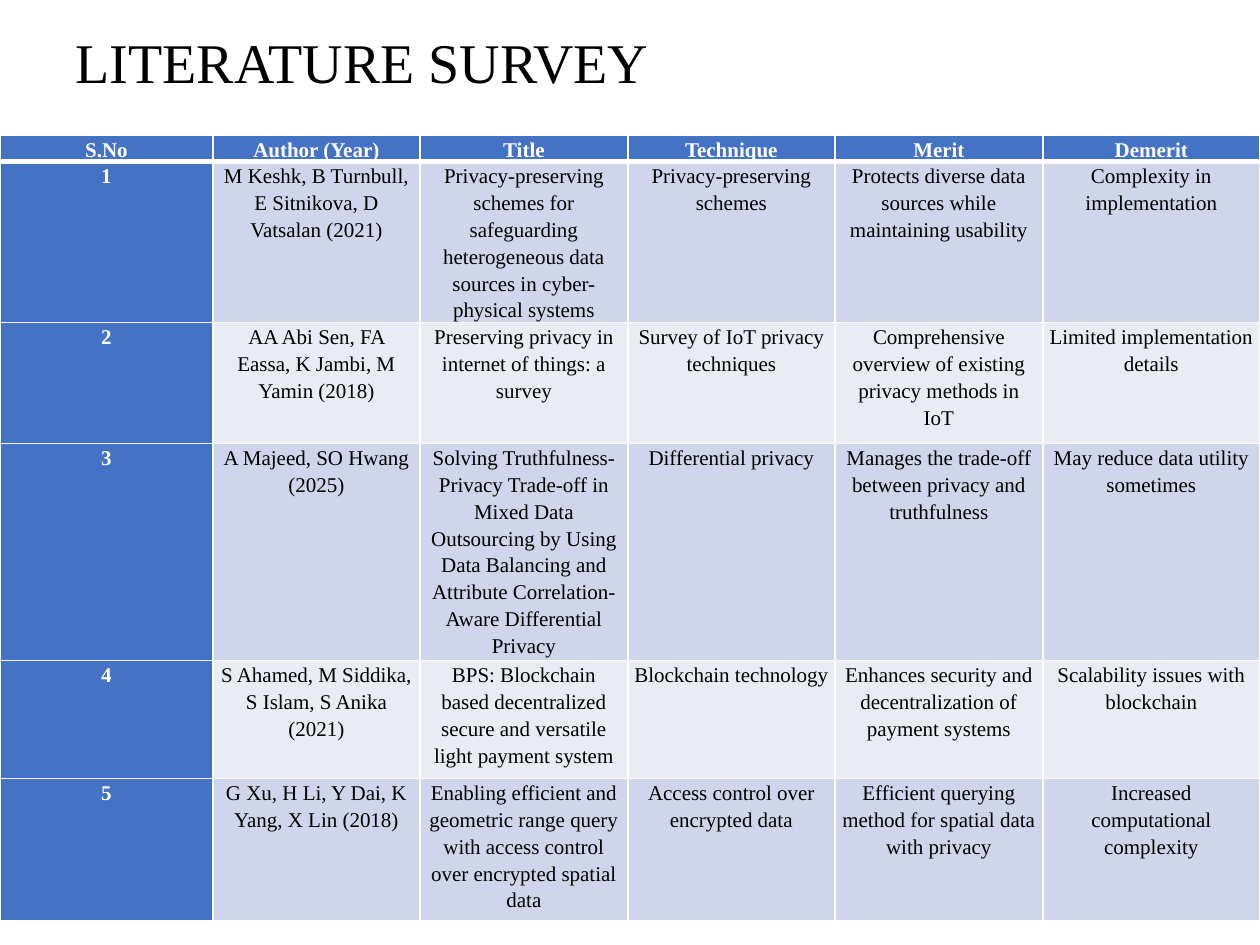
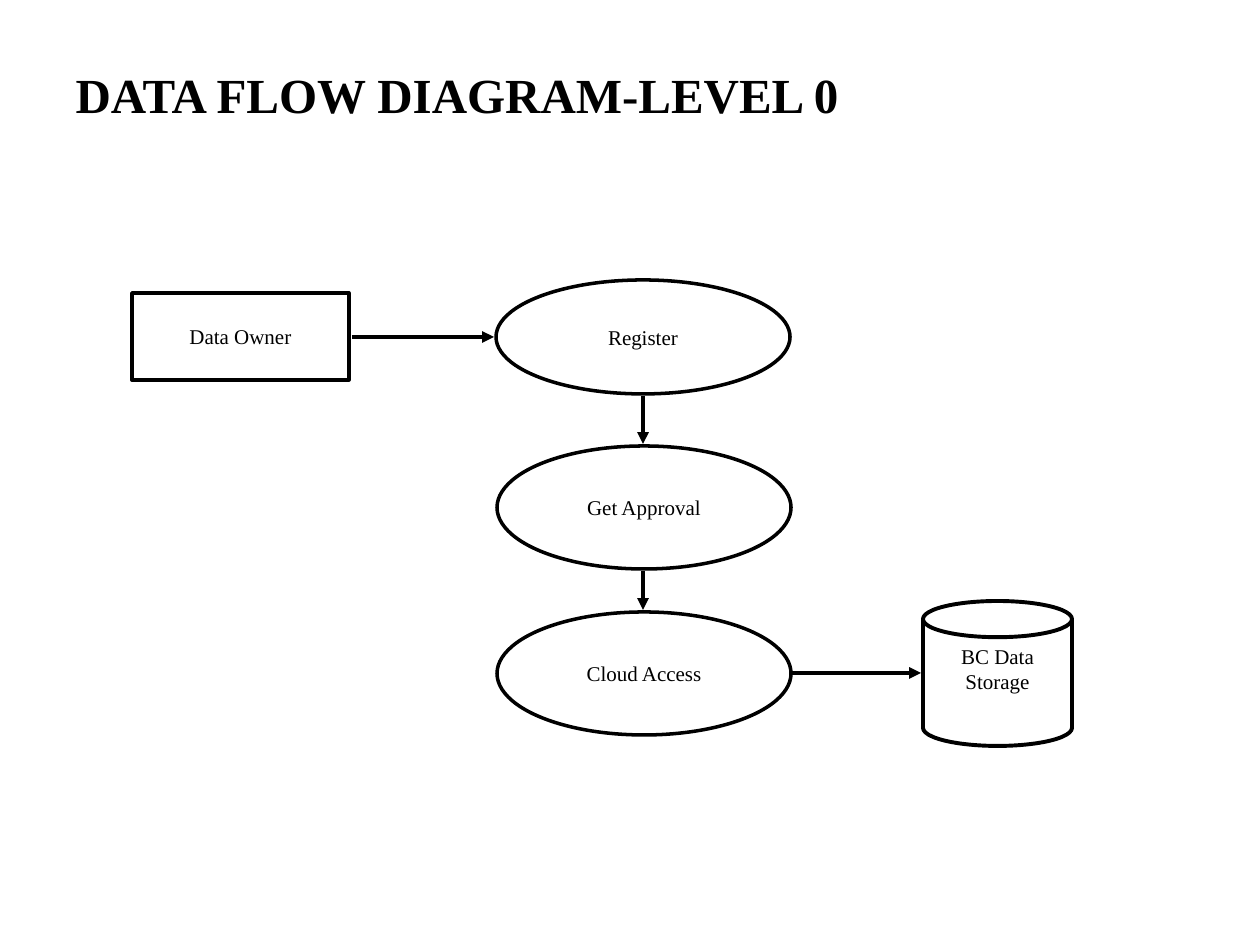
import lxml.etree
import pptx
import pptx.dml.color
import pptx.enum.shapes
import pptx.enum.text
import pptx.oxml.ns
import pptx.util

PX = 914400 / 126
FONT = "Times New Roman"
BLACK = pptx.dml.color.RGBColor(0x00, 0x00, 0x00)
WHITE = pptx.dml.color.RGBColor(0xFF, 0xFF, 0xFF)
HEADER_BLUE = pptx.dml.color.RGBColor(0x44, 0x72, 0xC4)
BANDS = [
    pptx.dml.color.RGBColor(0xCF, 0xD5, 0xEA),
    pptx.dml.color.RGBColor(0xE9, 0xEB, 0xF5),
]
CENTER = pptx.enum.text.PP_ALIGN.CENTER
MIDDLE = pptx.enum.text.MSO_ANCHOR.MIDDLE
TOP = pptx.enum.text.MSO_ANCHOR.TOP
KINDS = pptx.enum.shapes.MSO_SHAPE


def emu(*lengths):
    return [pptx.util.Emu(round(length * PX)) for length in lengths]


def write(frame, text, size, color, bold, align):
    frame.text = text
    paragraph = frame.paragraphs[0]
    paragraph.alignment = align
    font = paragraph.runs[0].font
    font.name = FONT
    font.size = pptx.util.Pt(size)
    font.color.rgb = color
    font.bold = bold
    return paragraph


deck = pptx.Presentation()
deck.slide_width, deck.slide_height = emu(1260, 945)

slides = []
for heading, top, size, bold in [
    ("LITERATURE SURVEY", 5, 32, False),
    ("DATA FLOW DIAGRAM-LEVEL 0", 38, 28, True),
]:
    slide = deck.slides.add_slide(deck.slide_layouts[5])
    title = slide.shapes.title
    title.left, title.top, title.width, title.height = emu(63, top, 1134, 120)
    title.text_frame.vertical_anchor = MIDDLE
    title.text_frame.auto_size = pptx.enum.text.MSO_AUTO_SIZE.NONE
    paragraph = write(title.text_frame, heading, size, BLACK, bold, pptx.enum.text.PP_ALIGN.LEFT)
    paragraph.line_spacing = 0.9
    slides.append(slide)
survey_slide, flow_slide = slides

survey = [
    ["S.No", "Author (Year)", "Title", "Technique", "Merit", "Demerit"],
    [
        "1",
        "M Keshk, B Turnbull, E Sitnikova, D Vatsalan (2021)",
        "Privacy-preserving schemes for safeguarding heterogeneous data sources in cyber-physical systems",
        "Privacy-preserving schemes",
        "Protects diverse data sources while maintaining usability",
        "Complexity in implementation",
    ],
    [
        "2",
        "AA Abi Sen, FA Eassa, K Jambi, M Yamin (2018)",
        "Preserving privacy in internet of things: a survey",
        "Survey of IoT privacy techniques",
        "Comprehensive overview of existing privacy methods in IoT",
        "Limited implementation details",
    ],
    [
        "3",
        "A Majeed, SO Hwang (2025)",
        "Solving Truthfulness-Privacy Trade-off in Mixed Data Outsourcing by Using Data Balancing "
        "and Attribute Correlation-Aware Differential Privacy",
        "Differential privacy",
        "Manages the trade-off between privacy and truthfulness",
        "May reduce data utility sometimes",
    ],
    [
        "4",
        "S Ahamed, M Siddika, S Islam, S Anika (2021)",
        "BPS: Blockchain based decentralized secure and versatile light payment system",
        "Blockchain technology",
        "Enhances security and decentralization of payment systems",
        "Scalability issues with blockchain",
    ],
    [
        "5",
        "G Xu, H Li, Y Dai, K Yang, X Lin (2018)",
        "Enabling efficient and geometric range query with access control over encrypted spatial data",
        "Access control over encrypted data",
        "Efficient querying method for spatial data with privacy",
        "Increased computational complexity",
    ],
]
column_widths = emu(213, 207, 208, 207, 208, 217)
row_heights = emu(24, 142, 121, 217, 118, 142)
papers = survey_slide.shapes.add_table(
    len(survey), len(survey[0]), *emu(0, 135), sum(column_widths), sum(row_heights)
).table
for column, width in zip(papers.columns, column_widths):
    column.width = width
for row, height in zip(papers.rows, row_heights):
    row.height = height

for r, entries in enumerate(survey):
    for c, entry in enumerate(entries):
        cell = papers.cell(r, c)
        is_heading = r == 0 or c == 0
        cell.margin_left = cell.margin_right = pptx.util.Inches(0.05)
        cell.margin_top = cell.margin_bottom = 0
        cell.vertical_anchor = TOP
        paragraph = write(
            cell.text_frame, entry, 12, WHITE if is_heading else BLACK, is_heading, CENTER
        )
        paragraph.line_spacing = 1.15
        paragraph.space_after = pptx.util.Pt(15)
        properties = cell._tc.get_or_add_tcPr()
        for side in ["lnL", "lnR", "lnT", "lnB"]:
            under_header = (r, side) in [(0, "lnB"), (1, "lnT")]
            border = lxml.etree.SubElement(properties, pptx.oxml.ns.qn("a:" + side))
            border.set("w", str(pptx.util.Pt(3 if under_header else 1)))
            stroke = lxml.etree.SubElement(border, pptx.oxml.ns.qn("a:solidFill"))
            lxml.etree.SubElement(stroke, pptx.oxml.ns.qn("a:srgbClr")).set("val", str(WHITE))
        cell.fill.solid()
        cell.fill.fore_color.rgb = HEADER_BLUE if is_heading else BANDS[(r - 1) % 2]

for label, kind, box, weight, anchor in [
    ("Data Owner", KINDS.RECTANGLE, (132, 293, 217, 87), 2, MIDDLE),
    ("Register", KINDS.OVAL, (496, 280, 294, 114), 2, MIDDLE),
    ("Get Approval", KINDS.OVAL, (497, 446, 294, 123), 2, MIDDLE),
    ("Cloud Access", KINDS.OVAL, (497, 612, 294, 123), 2, MIDDLE),
    ("BC Data Storage", KINDS.CAN, (923, 601, 149, 145), 2.25, TOP),
]:
    node = flow_slide.shapes.add_shape(kind, *emu(*box))
    node.shadow.inherit = False
    node.fill.solid()
    node.fill.fore_color.rgb = WHITE
    node.line.color.rgb = BLACK
    node.line.width = pptx.util.Pt(weight)
    node.text_frame.word_wrap = True
    node.text_frame.vertical_anchor = anchor
    write(node.text_frame, label, 12, BLACK, False, CENTER)

for ends in [
    (352, 337, 494, 337),
    (643, 396, 643, 444),
    (643, 571, 643, 610),
    (792, 673, 921, 673),
]:
    flow = flow_slide.shapes.add_connector(
        pptx.enum.shapes.MSO_CONNECTOR.STRAIGHT, *emu(*ends)
    )
    flow.line.color.rgb = BLACK
    flow.line.width = pptx.util.Pt(2.25)
    arrowhead = lxml.etree.SubElement(flow.line._get_or_add_ln(), pptx.oxml.ns.qn("a:tailEnd"))
    arrowhead.set("type", "triangle")
    lxml.etree.SubElement(flow._element.spPr, pptx.oxml.ns.qn("a:effectLst"))

deck.save("out.pptx")
